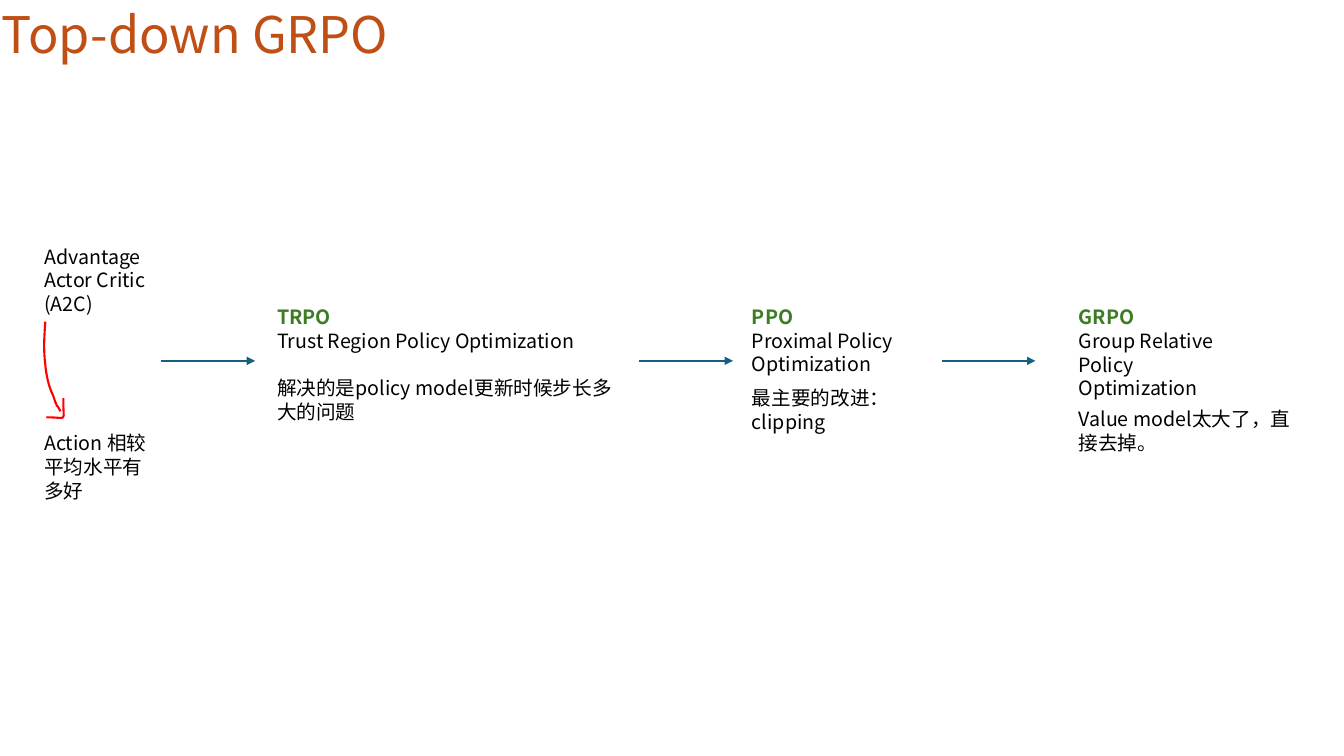
from dataclasses import dataclass

from lxml import etree
from pptx import Presentation
from pptx.dml.color import RGBColor
from pptx.enum.shapes import MSO_CONNECTOR
from pptx.enum.text import MSO_ANCHOR, MSO_AUTO_SIZE, PP_ALIGN
from pptx.oxml.ns import qn
from pptx.util import Inches, Pt

STRAIGHT = MSO_CONNECTOR.STRAIGHT
BOTTOM = MSO_ANCHOR.BOTTOM
NO_FIT, FIT_SHAPE = MSO_AUTO_SIZE.NONE, MSO_AUTO_SIZE.SHAPE_TO_FIT_TEXT
CENTER = PP_ALIGN.CENTER

FONT = "Noto Sans CJK SC"
COLORS = {"title": "C04F15", "text": "000000", "method": "3B7D23",
          "arrow": "156082", "pen": "FF0000"}
ARROW_Y = 3.58
ARROW_LENGTH = 0.93
CURVE_STEPS = 8

Point = tuple[float, float]


@dataclass
class Line:
    text: str
    heading: bool = False
    space_before: float = 0


@dataclass
class Note:
    left: float
    top: float
    width: float
    height: float
    lines: list[Line]


NOTES = [
    Note(0.34, 2.38, 1.35, 0.81, [Line("Advantage Actor Critic (A2C)")]),
    Note(0.34, 4.23, 1.35, 0.81, [Line("Action 相较平均水平有多好")]),
    Note(2.65, 2.98, 3.55, 2.46, [
        Line("TRPO", heading=True),
        Line("Trust Region Policy Optimization"),
        Line("解决的是policy model更新时候步长多大的问题", space_before=17)]),
    Note(7.36, 2.98, 1.98, 1.04, [
        Line("PPO", heading=True), Line("Proximal Policy Optimization")]),
    Note(7.36, 3.78, 2.27, 0.34, [Line("最主要的改进：clipping")]),
    Note(10.6, 2.98, 1.9, 0.81, [
        Line("GRPO", heading=True), Line("Group Relative Policy Optimization")]),
    Note(10.6, 3.99, 2.36, 0.57, [Line("Value model太大了，直接去掉。")]),
]
ARROW_STARTS = [1.6, 6.34, 9.34]

# Each stroke is a start point followed by triples of Bézier points.
PEN_STROKES: list[list[Point]] = [
    [(0.45, 3.19), (0.44, 3.33), (0.43, 3.47), (0.45, 3.62),
     (0.46, 3.72), (0.48, 3.83), (0.53, 3.93),
     (0.54, 3.96), (0.55, 4), (0.57, 4.03),
     (0.58, 4.04), (0.6, 4.08), (0.6, 4.08)],
    [(0.63, 3.95), (0.62, 4.2), (0.69, 4.14), (0.46, 4.14)],
]


def rgb(name: str) -> RGBColor:
    return RGBColor.from_string(COLORS[name])


def style_paragraph(p, size: float, color: str, bold: bool = False) -> None:
    """Set the paragraph font, for Latin and East Asian letters alike."""
    font = p.font
    font.name, font.size, font.bold = FONT, Pt(size), bold
    font.color.rgb = rgb(color)
    latin = p._p.pPr.find(qn("a:defRPr")).find(qn("a:latin"))
    ea = etree.Element(qn("a:ea"), typeface=FONT)
    latin.addnext(ea)


def set_title(s, text: str) -> None:
    title = s.shapes.title
    title.left, title.top = Inches(-1.36), Inches(0.33)
    title.width, title.height = Inches(6.59), Inches(0.36)
    tf = title.text_frame
    tf.text = text
    tf.auto_size, tf.vertical_anchor = NO_FIT, BOTTOM
    p = tf.paragraphs[0]
    p.alignment, p.line_spacing = CENTER, 0.9
    style_paragraph(p, 36, "title")


def add_note(s, note: Note) -> None:
    box = s.shapes.add_textbox(Inches(note.left), Inches(note.top),
                               Inches(note.width), Inches(note.height))
    tf = box.text_frame
    tf.word_wrap, tf.auto_size = True, FIT_SHAPE
    for i, line in enumerate(note.lines):
        p = tf.add_paragraph() if i else tf.paragraphs[0]
        p.text = line.text
        p.space_before = Pt(line.space_before)
        style_paragraph(p, 14, "method" if line.heading else "text", line.heading)


def add_arrow(s, left: float) -> None:
    y = Inches(ARROW_Y)
    arrow = s.shapes.add_connector(STRAIGHT, Inches(left), y,
                                   Inches(left + ARROW_LENGTH), y)
    arrow.line.color.rgb = rgb("arrow")
    arrow.line.width = Pt(1.5)
    etree.SubElement(arrow.line._get_or_add_ln(), qn("a:tailEnd"), type="triangle")
    etree.SubElement(arrow._element.spPr, qn("a:effectLst"))


def bezier(a: Point, b: Point, c: Point, d: Point, t: float) -> Point:
    u = 1 - t
    x, y = (u**3 * a[i] + 3 * u * u * t * b[i] + 3 * u * t * t * c[i] + t**3 * d[i]
            for i in (0, 1))
    return x, y


def add_pen_stroke(s, points: list[Point]) -> None:
    curve = [bezier(*points[i:i + 4], step / CURVE_STEPS)
             for i in range(0, len(points) - 1, 3)
             for step in range(1, CURVE_STEPS + 1)]
    x, y = points[0]
    builder = s.shapes.build_freeform(Inches(x), Inches(y))
    builder.add_line_segments([(Inches(x), Inches(y)) for x, y in curve], close=False)
    stroke = builder.convert_to_shape()
    stroke.shadow.inherit = False
    stroke.fill.background()
    stroke.line.color.rgb = rgb("pen")
    stroke.line.width = Pt(1.5)


def main() -> None:
    prs = Presentation()
    prs.slide_width, prs.slide_height = Inches(13.33), Inches(7.5)
    s = prs.slides.add_slide(prs.slide_layouts[5])
    set_title(s, "Top-down GRPO")
    for note in NOTES:
        add_note(s, note)
    for left in ARROW_STARTS:
        add_arrow(s, left)
    for points in PEN_STROKES:
        add_pen_stroke(s, points)
    prs.save("out.pptx")


if __name__ == "__main__":
    main()
